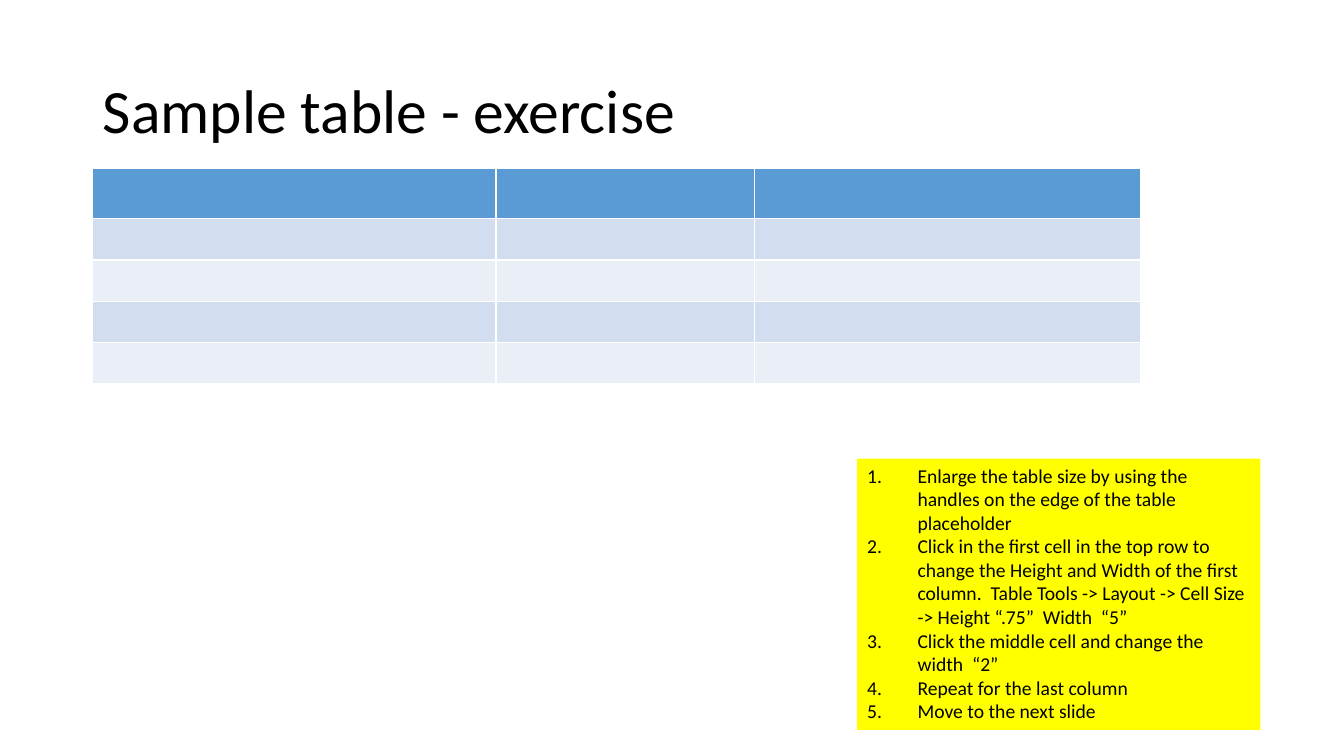
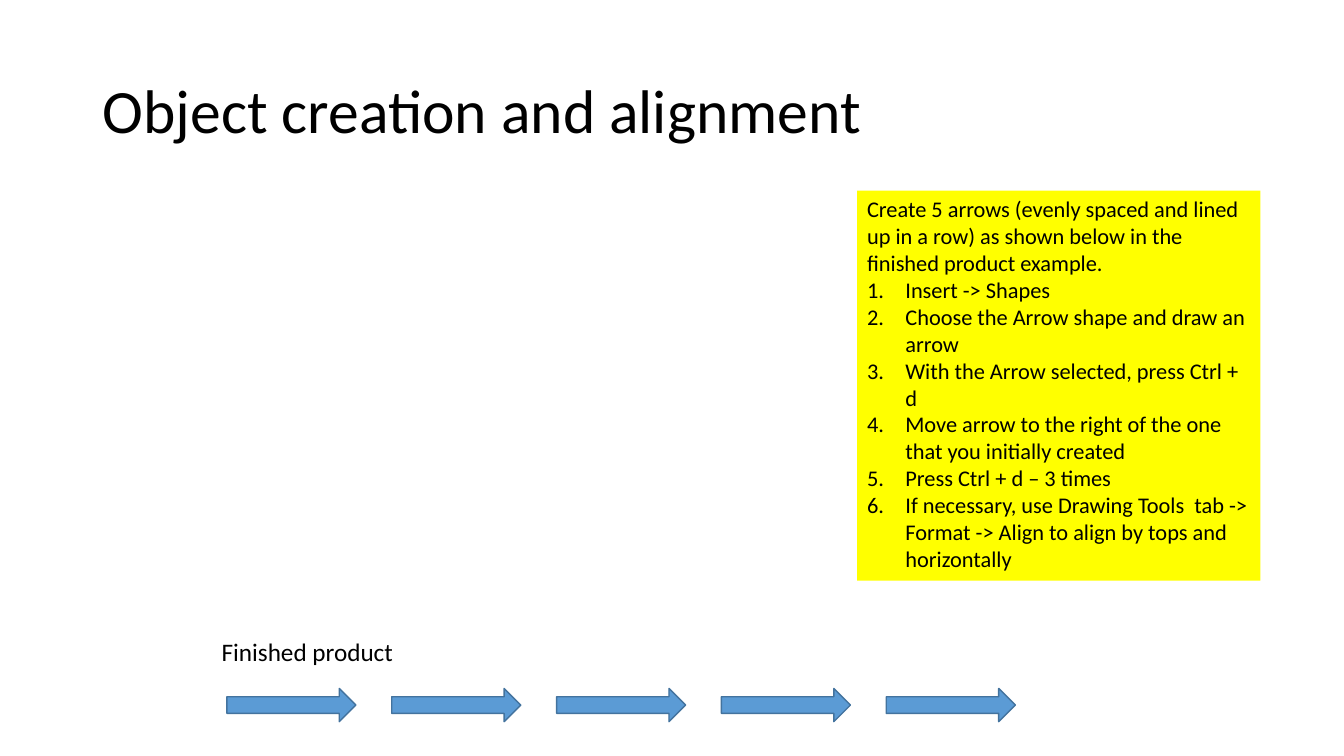
from dataclasses import dataclass

from lxml import etree
from pptx import Presentation
from pptx.dml.color import RGBColor
from pptx.enum.shapes import MSO_SHAPE
from pptx.enum.text import MSO_ANCHOR, MSO_AUTO_SIZE, PP_ALIGN
from pptx.oxml.ns import qn
from pptx.util import Inches, Pt

ARROW = MSO_SHAPE.RIGHT_ARROW
MIDDLE, TOP = MSO_ANCHOR.MIDDLE, MSO_ANCHOR.TOP
LEFT = PP_ALIGN.LEFT
FIXED = MSO_AUTO_SIZE.NONE
FONT = "Calibri"
COLORS = {
    "text": "000000",
    "note": "FFFF00",
    "head": "5B9BD5",
    "odd": "D2DEEF",
    "even": "EAEFF7",
    "edge": "43739E",
}


@dataclass(frozen=True)
class Box:
    left: float
    top: float
    width: float
    height: float

    def lengths(self) -> tuple:
        return tuple(Inches(v) for v in (self.left, self.top, self.width, self.height))


@dataclass(frozen=True)
class Note:
    box: Box
    size: int
    indent: float
    steps: tuple[str, ...]
    intro: str = ""


TITLE = Box(0.92, 0.4, 11.5, 1.45)
GRID = Box(0.92, 1.67, 10.39, 2.14)
COLS = (4, 2.56, 3.83)
ROWS = (0.5, 0.41, 0.41, 0.41, 0.41)
LABEL = Box(2.1, 6.26, 2.23, 0.4)
FIRST = Box(2.25, 6.83, 1.28, 0.33)
PITCH = 1.635
COUNT = 5

TABLE_NOTE = Note(
    Box(8.5, 4.55, 4, 2.69), 14, 0.5,
    (
        "Enlarge the table size by using the handles on the edge of the table placeholder",
        "Click in the first cell in the top row to change the Height and Width of the first column.  "
        "Table Tools -> Layout -> Cell Size -> Height “.75”  Width  “5”",
        "Click the middle cell and change the width  “2”",
        "Repeat for the last column",
        "Move to the next slide",
    ),
)
ARROW_NOTE = Note(
    Box(8.5, 1.89, 4, 3.87), 16, 0.38,
    (
        "Insert -> Shapes",
        "Choose the Arrow shape and draw an arrow",
        "With the Arrow selected, press Ctrl + d",
        "Move arrow to the right of the one that you initially created",
        "Press Ctrl + d – 3 times",
        "If necessary, use Drawing Tools  tab -> Format -> Align to align by tops and horizontally",
    ),
    "Create 5 arrows (evenly spaced and lined up in a row) as shown below in the finished product example.",
)


def color(name: str) -> RGBColor:
    return RGBColor.from_string(COLORS[name])


def paint(item, name: str) -> None:
    item.fill.solid()
    item.fill.fore_color.rgb = color(name)


def place(shape, box: Box) -> None:
    shape.left, shape.top, shape.width, shape.height = box.lengths()


def write(para, text: str, size: int) -> None:
    para.alignment = LEFT
    para.space_before = Pt(0)
    run = para.add_run()
    run.text = text
    run.font.name = FONT
    run.font.size = Pt(size)
    run.font.color.rgb = color("text")


def number(para, indent: float) -> None:
    props = para._p.get_or_add_pPr()
    props.set("marL", str(Inches(indent)))
    props.set("indent", str(-Inches(indent)))
    if indent:
        etree.SubElement(props, qn("a:buFont"), typeface=FONT)
        etree.SubElement(props, qn("a:buAutoNum"), type="arabicPeriod")
    else:
        etree.SubElement(props, qn("a:buNone"))


def add_slide(deck, title: str, note: Note):
    slide = deck.slides.add_slide(deck.slide_layouts[1])
    head = slide.shapes.title
    place(head, TITLE)
    frame = head.text_frame
    frame.auto_size = FIXED
    frame.vertical_anchor = MIDDLE
    write(frame.paragraphs[0], title, 44)
    frame.paragraphs[0].line_spacing = 0.9
    add_note(slide.placeholders[1], note)
    return slide


def add_note(body, note: Note) -> None:
    place(body, note.box)
    paint(body, "note")
    frame = body.text_frame
    frame.word_wrap = True
    frame.auto_size = FIXED
    frame.vertical_anchor = TOP
    lines = [(note.intro, 0)] if note.intro else []
    lines += [(step, note.indent) for step in note.steps]
    for i, (text, indent) in enumerate(lines):
        para = frame.add_paragraph() if i else frame.paragraphs[0]
        write(para, text, note.size)
        number(para, indent)


def add_grid(slide) -> None:
    table = slide.shapes.add_table(len(ROWS), len(COLS), *GRID.lengths()).table
    for col, width in zip(table.columns, COLS):
        col.width = Inches(width)
    for i, (row, height) in enumerate(zip(table.rows, ROWS)):
        row.height = Inches(height)
        band = "odd" if i % 2 else "even"
        for cell in row.cells:
            paint(cell, band if i else "head")


def add_label(slide) -> None:
    frame = slide.shapes.add_textbox(*LABEL.lengths()).text_frame
    frame.word_wrap = False
    write(frame.paragraphs[0], "Finished product", 18)


def add_arrows(slide) -> None:
    for i in range(COUNT):
        box = Box(FIRST.left + i * PITCH, FIRST.top, FIRST.width, FIRST.height)
        arrow = slide.shapes.add_shape(ARROW, *box.lengths())
        arrow.shadow.inherit = False
        paint(arrow, "head")
        arrow.line.color.rgb = color("edge")
        arrow.line.width = Pt(1)


def main() -> None:
    deck = Presentation()
    deck.slide_width, deck.slide_height = Inches(13.33), Inches(7.5)
    add_grid(add_slide(deck, "Sample table - exercise", TABLE_NOTE))
    slide = add_slide(deck, "Object creation and alignment", ARROW_NOTE)
    add_label(slide)
    add_arrows(slide)
    deck.save("out.pptx")


if __name__ == "__main__":
    main()
